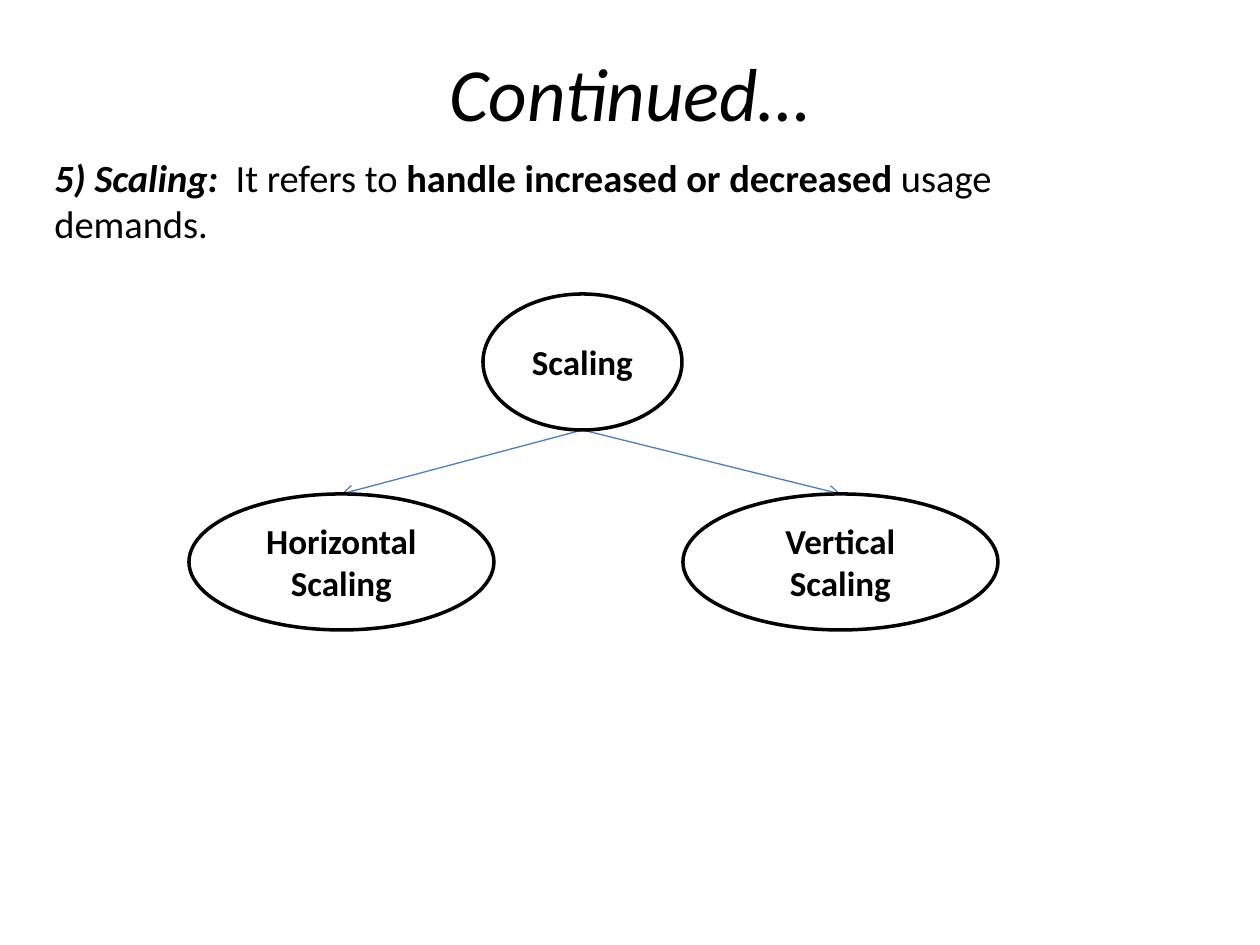
"""Build a slide that explains scaling with a small tree of ellipses."""
import pptx
import pptx.dml.color
import pptx.enum.shapes
import pptx.enum.text
import pptx.oxml
import pptx.oxml.ns
import pptx.util

TITLE = "Continued…"
DEFINITION = [
    ("5) Scaling:  ", {"bold": True, "italic": True}),
    ("It refers to ", {}),
    ("handle increased or decreased ", {"bold": True}),
    ("usage demands.", {}),
]
ROOT = ("Scaling", (483, 294, 199, 136))
CHILDREN = [
    ("Horizontal Scaling", (189, 494, 305, 136)),
    ("Vertical Scaling", (683, 494, 315, 136)),
]
TITLE_BOX = (63, 40, 1134, 158)
DEFINITION_BOX = (42, 148, 1113, 758)

THEME = {
    "font": "Calibri",
    "ink": "000000",
    "paper": "FFFFFF",
    "arrow": "4B7EBC",
    "title_size": 42.9,
    "body_size": 22,
    "node_size": 20,
    "outline": 2,
    "arrow_width": 0.75,
}
PX = pptx.util.Inches(1) / 126


def px(*lengths):
    return [round(length * PX) for length in lengths]


def color(name):
    return pptx.dml.color.RGBColor.from_string(THEME[name])


def add_run(paragraph, text, size, bold=False, italic=False):
    run = paragraph.add_run()
    run.text = text
    run.font.name = THEME["font"]
    run.font.size = pptx.util.Pt(THEME[size])
    run.font.bold = bold
    run.font.italic = italic
    run.font.color.rgb = color("ink")


def write(shape, runs, size, align="LEFT", anchor="TOP"):
    frame = shape.text_frame
    frame.word_wrap = True
    frame.vertical_anchor = pptx.enum.text.MSO_ANCHOR[anchor]
    paragraph = frame.paragraphs[0]
    paragraph.alignment = pptx.enum.text.PP_ALIGN[align]
    for text, style in runs:
        add_run(paragraph, text, size, **style)


def add_node(slide, label, box):
    ellipse = slide.shapes.add_shape(pptx.enum.shapes.MSO_SHAPE.OVAL, *px(*box))
    ellipse.shadow.inherit = False
    ellipse.fill.solid()
    ellipse.fill.fore_color.rgb = color("paper")
    ellipse.line.color.rgb = color("ink")
    ellipse.line.width = pptx.util.Pt(THEME["outline"])
    write(ellipse, [(label, {"bold": True})], "node_size", "CENTER", "MIDDLE")


def add_arrow(slide, parent, child):
    left, top, width, height = parent
    child_left, child_top, child_width, _ = child
    ends = px(left + width / 2, top + height, child_left + child_width / 2, child_top)
    arrow = slide.shapes.add_connector(pptx.enum.shapes.MSO_CONNECTOR.STRAIGHT, *ends)
    arrow.line.color.rgb = color("arrow")
    arrow.line.width = pptx.util.Pt(THEME["arrow_width"])
    namespace = pptx.oxml.ns.nsdecls("a")
    arrow.line._get_or_add_ln().append(
        pptx.oxml.parse_xml(f'<a:tailEnd {namespace} type="arrow"/>'))
    arrow._element.spPr.append(pptx.oxml.parse_xml(f"<a:effectLst {namespace}/>"))


def main():
    presentation = pptx.Presentation()
    presentation.slide_width, presentation.slide_height = px(1260, 945)
    slide = presentation.slides.add_slide(presentation.slide_layouts[6])
    write(slide.shapes.add_textbox(*px(*DEFINITION_BOX)), DEFINITION, "body_size")
    write(slide.shapes.add_textbox(*px(*TITLE_BOX)),
          [(TITLE, {"italic": True})], "title_size", "CENTER")
    for _, box in CHILDREN:
        add_arrow(slide, ROOT[1], box)
    for label, box in [ROOT, *CHILDREN]:
        add_node(slide, label, box)
    presentation.save("out.pptx")


if __name__ == "__main__":
    main()
